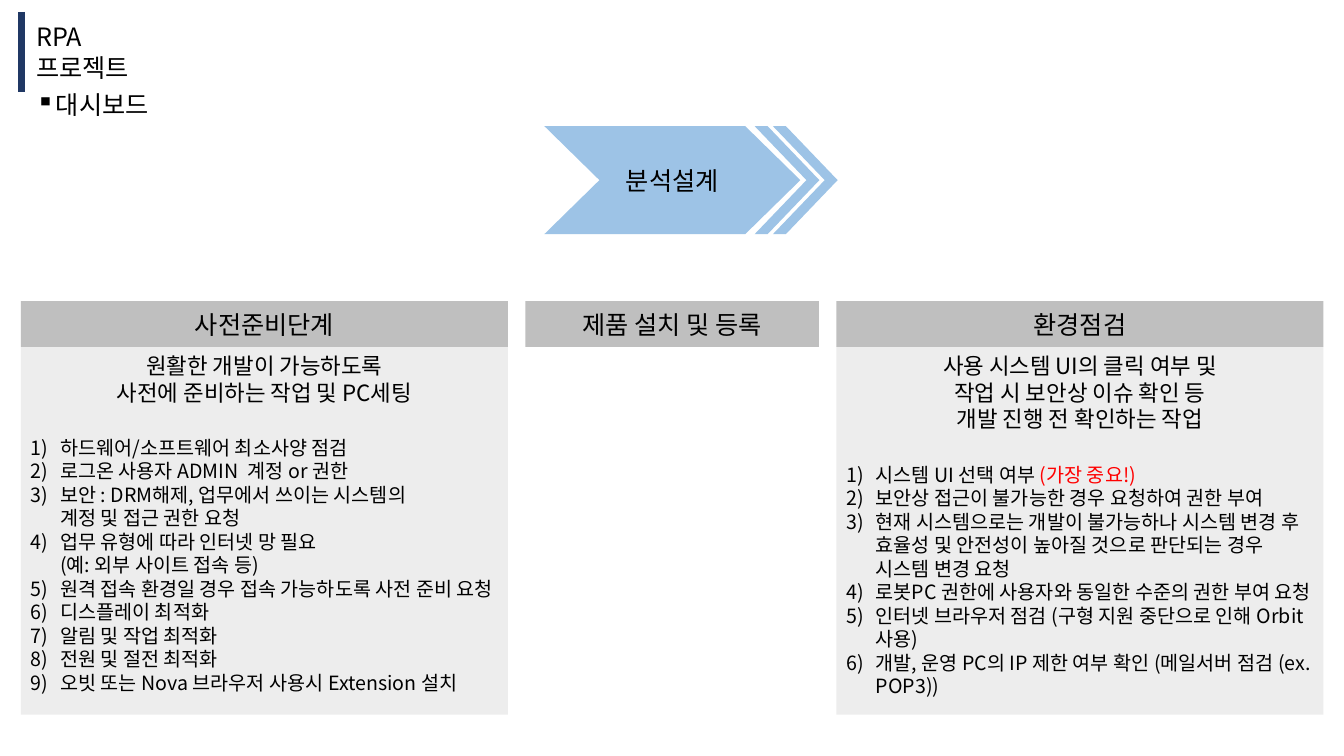
from dataclasses import dataclass

from lxml.etree import SubElement
from pptx import Presentation
from pptx.dml.color import RGBColor
from pptx.enum.shapes import MSO_CONNECTOR, MSO_SHAPE
from pptx.enum.text import MSO_ANCHOR, MSO_AUTO_SIZE, PP_ALIGN
from pptx.oxml.ns import qn
from pptx.util import Cm, Pt


@dataclass(frozen=True)
class Theme:
    font: str = "Noto Sans CJK KR"
    text: RGBColor = RGBColor(0x00, 0x00, 0x00)
    alert: RGBColor = RGBColor(0xFF, 0x00, 0x00)
    rule: RGBColor = RGBColor(0x20, 0x38, 0x64)
    arrow: RGBColor = RGBColor(0x9D, 0xC3, 0xE6)
    header: RGBColor = RGBColor(0xBF, 0xBF, 0xBF)
    panel: RGBColor = RGBColor(0xED, 0xED, 0xED)
    heading_size: Pt = Pt(18)
    summary_size: Pt = Pt(16)
    item_size: Pt = Pt(14)
    list_gap: Pt = Pt(21.5)


THEME = Theme()

MARGIN = 0.53
GAP = 0.44
HEADER_TOP = 7.59
HEADER_HEIGHT = 1.15
PANEL_HEIGHT = 9.27
ARROW_TOP = 3.18
ARROW_HEIGHT = 2.72

STAGES = [
    (
        "사전준비단계",
        12.27,
        ["원활한 개발이 가능하도록", "사전에 준비하는 작업 및 PC세팅"],
        [
            ["하드웨어/소프트웨어 최소사양 점검"],
            ["로그온 사용자 ADMIN  계정 or 권한"],
            ["보안 : DRM해제, 업무에서 쓰이는 시스템의\v계정 및 접근 권한 요청"],
            ["업무 유형에 따라 인터넷 망 필요 \v(예: 외부 사이트 접속 등)"],
            ["원격 접속 환경일 경우 접속 가능하도록 사전 준비 요청"],
            ["디스플레이 최적화"],
            ["알림 및 작업 최적화"],
            ["전원 및 절전 최적화"],
            ["오빗 또는 Nova 브라우저 사용시 Extension 설치"],
        ],
    ),
    ("제품 설치 및 등록", 7.4, [], []),
    (
        "환경점검",
        12.27,
        ["사용 시스템 UI의 클릭 여부 및", "작업 시 보안상 이슈 확인 등", "개발 진행 전 확인하는 작업"],
        [
            ["시스템 UI 선택 여부 ", "(가장 중요!)"],
            ["보안상 접근이 불가능한 경우 요청하여 권한 부여"],
            ["현재 시스템으로는 개발이 불가능하나 시스템 변경 후 "
             "효율성 및 안전성이 높아질 것으로 판단되는 경우 시스템 변경 요청"],
            ["로봇PC 권한에 사용자와 동일한 수준의 권한 부여 요청"],
            ["인터넷 브라우저 점검 (구형 지원 중단으로 인해 Orbit 사용)"],
            ["개발, 운영 PC의 IP 제한 여부 확인 (메일서버 점검 (ex. POP3))"],
        ],
    ),
]


def format_paragraph(para, size, align=PP_ALIGN.LEFT):
    para.alignment = align
    para.font.size = size
    para.font.color.rgb = THEME.text
    para.font.name = THEME.font
    defaults = para._p.pPr.find(qn("a:defRPr"))
    SubElement(defaults, qn("a:ea"), typeface=THEME.font)


def add_bullet(para, indent, tag, **attributes):
    properties = para._p.get_or_add_pPr()
    properties.set("marL", str(Cm(indent)))
    properties.set("indent", str(-Cm(indent)))
    SubElement(properties, qn(tag), **attributes)


def fit_to_text(frame):
    frame.word_wrap = False
    frame.auto_size = MSO_AUTO_SIZE.SHAPE_TO_FIT_TEXT


def next_paragraph(frame, is_first):
    return frame.paragraphs[0] if is_first else frame.add_paragraph()


def add_block(page, kind, left, top, width, height, color, label=""):
    block = page.shapes.add_shape(kind, Cm(left), Cm(top), Cm(width), Cm(height))
    block.shadow.inherit = False
    block.fill.solid()
    block.fill.fore_color.rgb = color
    block.line.fill.background()
    if label:
        block.text_frame.vertical_anchor = MSO_ANCHOR.MIDDLE
        para = block.text_frame.paragraphs[0]
        para.text = label
        format_paragraph(para, THEME.heading_size, PP_ALIGN.CENTER)
    return block


def add_chevron(page, left, width, depth, label=""):
    chevron = add_block(page, MSO_SHAPE.CHEVRON, left, ARROW_TOP, width, ARROW_HEIGHT,
                        THEME.arrow, label)
    chevron.adjustments[0] = depth


def add_title(page):
    title = page.shapes.title
    title.left, title.top, title.width, title.height = Cm(0.66), Cm(0.41), Cm(2.92), Cm(1.8)
    frame = title.text_frame
    fit_to_text(frame)
    frame.vertical_anchor = MSO_ANCHOR.MIDDLE
    para = frame.paragraphs[0]
    para.text = "RPA\v프로젝트"
    format_paragraph(para, THEME.heading_size)


def add_title_rule(page):
    rule = page.shapes.add_connector(MSO_CONNECTOR.STRAIGHT, Cm(0.55), Cm(0.3), Cm(0.55), Cm(2.32))
    rule.line.color.rgb = THEME.rule
    rule.line.width = Pt(5)
    SubElement(rule._element.spPr, qn("a:effectLst"))


def add_subtitle(page):
    box = page.shapes.add_textbox(Cm(0.66), Cm(2.13), Cm(3.35), Cm(1.02))
    fit_to_text(box.text_frame)
    para = box.text_frame.paragraphs[0]
    para.text = "대시보드"
    add_bullet(para, 0.5, "a:buChar", char="▪")
    format_paragraph(para, THEME.heading_size)


def add_panel(page, left, width, summary, items):
    panel = add_block(page, MSO_SHAPE.RECTANGLE, left, HEADER_TOP + HEADER_HEIGHT, width,
                      PANEL_HEIGHT, THEME.panel)
    frame = panel.text_frame
    frame.vertical_anchor = MSO_ANCHOR.TOP
    for number, line in enumerate(summary):
        para = next_paragraph(frame, number == 0)
        para.text = line
        format_paragraph(para, THEME.summary_size, PP_ALIGN.CENTER)
    for number, (item, *warnings) in enumerate(items):
        para = frame.add_paragraph()
        para.text = item
        if number == 0:
            para.space_before = THEME.list_gap
        add_bullet(para, 0.74, "a:buAutoNum", type="arabicParenR")
        format_paragraph(para, THEME.item_size)
        for warning in warnings:
            span = para.add_run()
            span.text = warning
            span.font.color.rgb = THEME.alert


def add_stages(page):
    left = MARGIN
    for name, width, summary, items in STAGES:
        if items:
            add_panel(page, left, width, summary, items)
        add_block(page, MSO_SHAPE.RECTANGLE, left, HEADER_TOP, width, HEADER_HEIGHT,
                  THEME.header, name)
        left += width + GAP


def main():
    deck = Presentation()
    deck.slide_width, deck.slide_height = Cm(33.87), Cm(19.05)
    page = deck.slides.add_slide(deck.slide_layouts[5])
    add_title_rule(page)
    add_title(page)
    add_subtitle(page)
    add_stages(page)
    add_chevron(page, 13.72, 6.45, 0.51, "분석설계")
    for left in (19.02, 19.48):
        add_chevron(page, left, 1.63, 0.8)
    deck.save("out.pptx")


if __name__ == "__main__":
    main()
